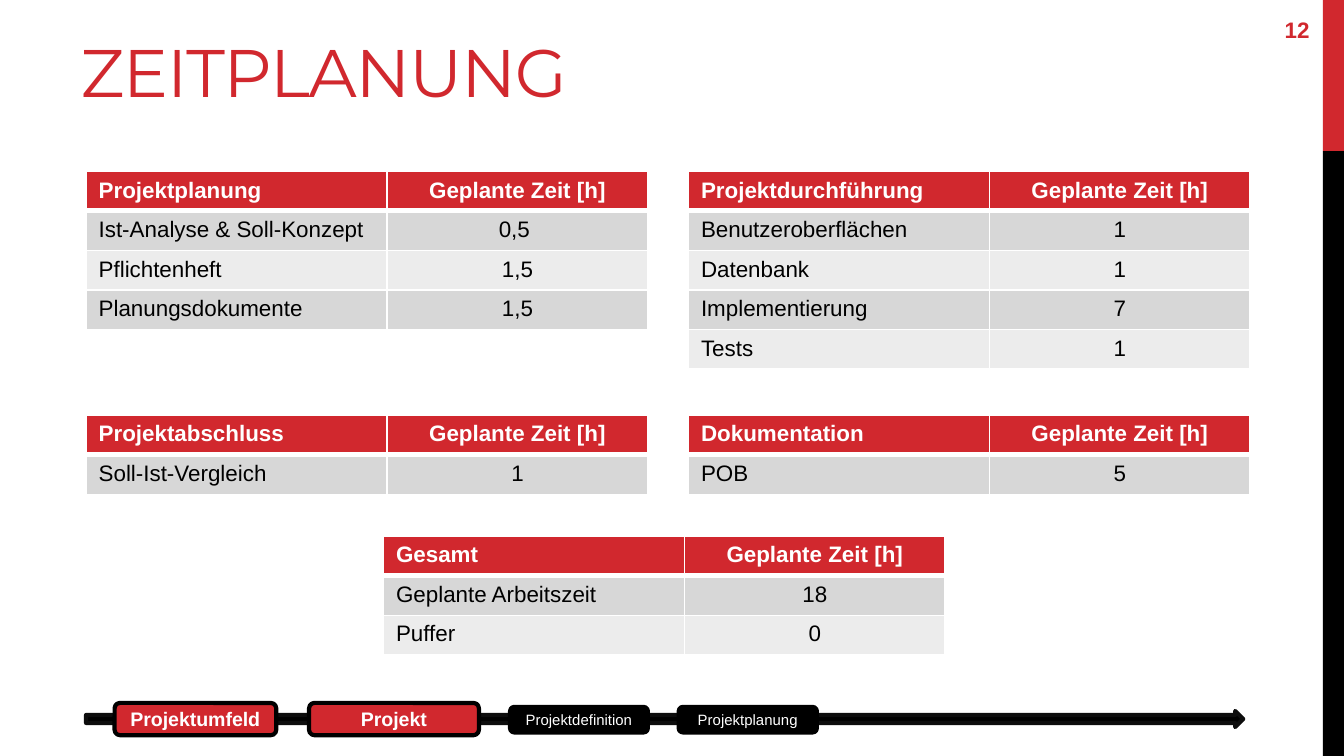
from dataclasses import dataclass

from lxml import etree
from pptx import Presentation
from pptx.dml.color import RGBColor
from pptx.enum.shapes import MSO_SHAPE
from pptx.enum.text import MSO_ANCHOR, PP_ALIGN
from pptx.oxml.ns import qn
from pptx.util import Pt

RECT, ROUNDED, ARROW = MSO_SHAPE.RECTANGLE, MSO_SHAPE.ROUNDED_RECTANGLE, MSO_SHAPE.RIGHT_ARROW
LEFT, CENTER = PP_ALIGN.LEFT, PP_ALIGN.CENTER
MIDDLE, TOP, BOTTOM = MSO_ANCHOR.MIDDLE, MSO_ANCHOR.TOP, MSO_ANCHOR.BOTTOM


@dataclass(frozen=True)
class Theme:
    """Colours, fonts and type sizes of the slide."""
    red: str = "D1282E"
    black: str = "000000"
    soft_black: str = "0D0D0D"
    white: str = "FFFFFF"
    bands: tuple = ("D7D7D7", "ECECEC")
    heading_font: str = "Montserrat"
    body_font: str = "Arial"
    title_size: float = 36
    body_size: float = 12
    chapter_size: float = 10.5
    section_size: float = 8


class SlideBuilder:
    """Holds the theme and the current slide."""

    def __init__(self, slide, theme):
        """Keep the slide to fill and its theme."""
        self.slide = slide
        self.theme = theme

    def add_text(self, frame, text, size, color, bold=False, align=LEFT, font=None):
        """Add one styled run to the first paragraph and return it."""
        paragraph = frame.paragraphs[0]
        paragraph.alignment = align
        run = paragraph.add_run()
        run.text = text
        run.font.name = font or self.theme.body_font
        run.font.size = Pt(size)
        run.font.bold = bold
        run.font.color.rgb = RGBColor.from_string(color)
        return run

    def title(self, text, left, top, width, height):
        """Place and fill the title placeholder."""
        heading = self.slide.shapes.title
        heading.left, heading.top = Pt(left), Pt(top)
        heading.width, heading.height = Pt(width), Pt(height)
        frame = heading.text_frame
        frame.vertical_anchor = BOTTOM
        frame.margin_bottom = Pt(1.8)
        run = self.add_text(frame, text, self.theme.title_size, self.theme.red,
                            font=self.theme.heading_font)
        run.font._element.set("spc", "-60")

    def shape(self, kind, left, top, width, height, fill, line=None):
        """Add a filled preset shape, outlined if a line colour is given."""
        shape = self.slide.shapes.add_shape(kind, Pt(left), Pt(top), Pt(width), Pt(height))
        shape.shadow.inherit = False
        shape.fill.solid()
        shape.fill.fore_color.rgb = RGBColor.from_string(fill)
        if line:
            shape.line.color.rgb = RGBColor.from_string(line)
            shape.line.width = Pt(2.25)
        else:
            shape.line.fill.background()
        return shape

    def step(self, text, left, width, is_chapter):
        """Add a label on the progress arrow, large and red for a chapter."""
        theme = self.theme
        if is_chapter:
            top, height, fill, size = 376.6, 17.3, theme.red, theme.chapter_size
        else:
            top, height, fill, size = 378.7, 13.7, theme.black, theme.section_size
        label = self.shape(ROUNDED, left, top, width, height, fill, theme.black)
        frame = label.text_frame
        frame.margin_left = frame.margin_right = frame.margin_top = frame.margin_bottom = 0
        frame.vertical_anchor = MIDDLE
        self.add_text(frame, text, size, theme.white, is_chapter, CENTER)

    def page_number(self, text, left, top, width, height):
        """Add the page number."""
        box = self.slide.shapes.add_textbox(Pt(left), Pt(top), Pt(width), Pt(height))
        box.text_frame.word_wrap = True
        box.text_frame.vertical_anchor = MIDDLE
        self.add_text(box.text_frame, text, self.theme.body_size, self.theme.red, True)

    def borders(self, cell, bottom):
        """Draw white cell borders, with the bottom width given in points."""
        properties = cell._tc.get_or_add_tcPr()
        sides = (("a:lnL", 1), ("a:lnR", 1), ("a:lnT", 1), ("a:lnB", bottom))
        for position, (tag, width) in enumerate(sides):
            line = etree.Element(qn(tag), w=str(Pt(width)))
            fill = etree.SubElement(line, qn("a:solidFill"))
            etree.SubElement(fill, qn("a:srgbClr"), val=self.theme.white)
            properties.insert(position, line)

    def time_table(self, left, top, phase, tasks):
        """Add a table of tasks and planned hours."""
        theme = self.theme
        rows = [(phase, "Geplante Zeit [h]"), *tasks]
        widths, row_height = (161.3, 139.7), 20.6
        table = self.slide.shapes.add_table(
            len(rows), 2, Pt(left), Pt(top), Pt(sum(widths)), Pt(row_height * len(rows))).table
        table.first_row = table.horz_banding = False
        for column, width in zip(table.columns, widths):
            column.width = Pt(width)
        for r, row in enumerate(rows):
            is_header = r == 0
            table.rows[r].height = Pt(row_height)
            for c, text in enumerate(row):
                cell = table.cell(r, c)
                cell.margin_left = cell.margin_right = Pt(6.8)
                cell.margin_top = cell.margin_bottom = Pt(3.4)
                cell.vertical_anchor = TOP
                cell.fill.solid()
                fill = theme.red if is_header else theme.bands[(r - 1) % 2]
                cell.fill.fore_color.rgb = RGBColor.from_string(fill)
                self.borders(cell, 3 if is_header else 1)
                self.add_text(cell.text_frame, text, theme.body_size,
                              theme.white if is_header else theme.black,
                              is_header, CENTER if c else LEFT)


LEFT_COLUMN, RIGHT_COLUMN, MIDDLE_COLUMN = 46.1, 368.8, 205.4
FIRST_ROW, SECOND_ROW, THIRD_ROW = 91.8, 222.5, 287.3
PHASES = [
    (LEFT_COLUMN, FIRST_ROW, "Projektplanung",
     [("Ist-Analyse & Soll-Konzept", "0,5 "), ("Pflichtenheft", "1,5"),
      ("Planungsdokumente", "1,5")]),
    (RIGHT_COLUMN, FIRST_ROW, "Projektdurchführung",
     [("Benutzeroberflächen", "1"), ("Datenbank", "1"), ("Implementierung", "7"),
      ("Tests", "1")]),
    (LEFT_COLUMN, SECOND_ROW, "Projektabschluss", [("Soll-Ist-Vergleich", "1")]),
    (RIGHT_COLUMN, SECOND_ROW, "Dokumentation", [("POB", "5")]),
    (MIDDLE_COLUMN, THIRD_ROW, "Gesamt", [("Geplante Arbeitszeit", "18"), ("Puffer", "0")]),
]
STEPS = [
    ("Projektumfeld", 61.4, 86.6, True),
    ("Projekt", 165.6, 91, True),
    ("Projektdefinition", 273.3, 73.8, False),
    ("Projektplanung", 363.6, 74, False),
]


def main():
    """Build and save the slide."""
    deck = Presentation()
    deck.slide_width, deck.slide_height = Pt(720), Pt(405)
    theme = Theme()
    page = SlideBuilder(deck.slides.add_slide(deck.slide_layouts[5]), theme)
    page.title("ZEITPLANUNG", 36, 9.4, 455.8, 51.8)
    page.shape(RECT, 708.7, 0, 11.3, 81, theme.red)
    page.shape(RECT, 708.7, 81, 11.3, 324, theme.black)
    page.shape(ARROW, 46.1, 380.9, 619.9, 8.6, theme.black, theme.soft_black)
    for step in STEPS:
        page.step(*step)
    page.page_number("12", 681.1, 1.4, 38.9, 28.8)
    for phase in PHASES:
        page.time_table(*phase)
    deck.save("out.pptx")


main()
